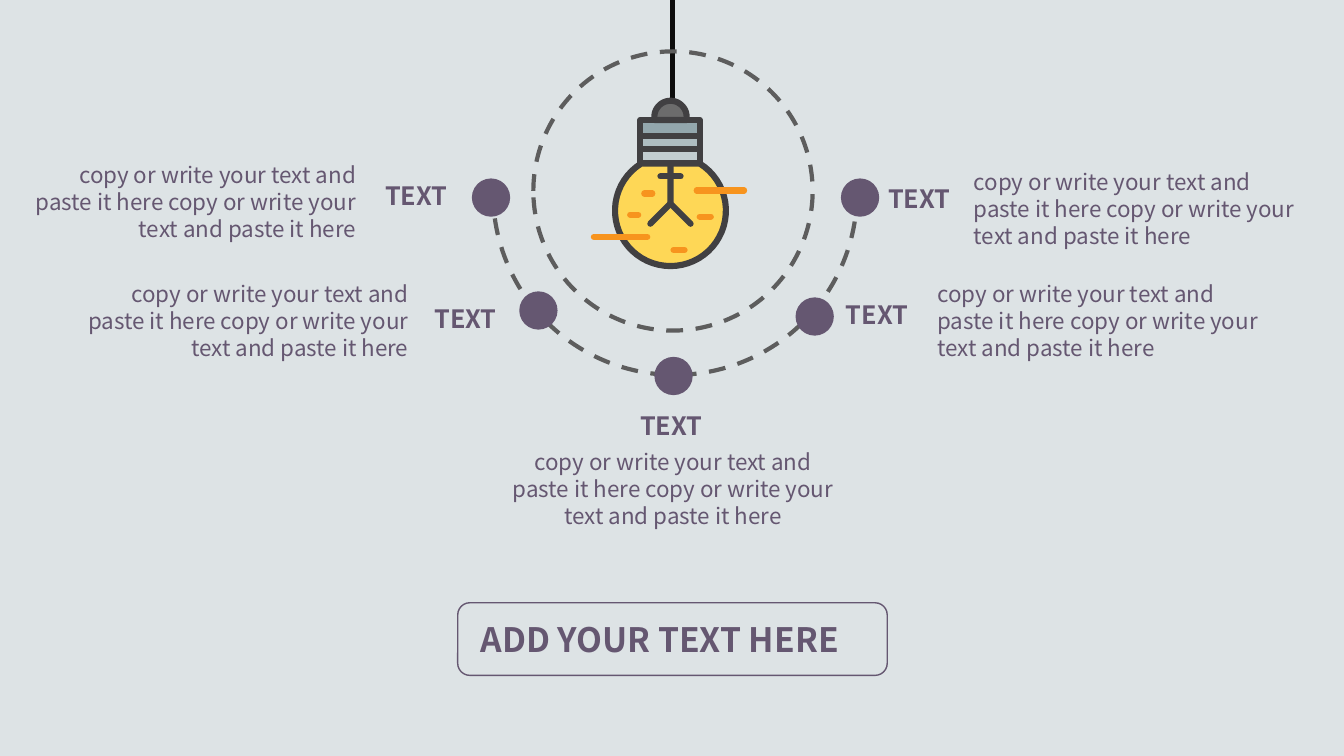
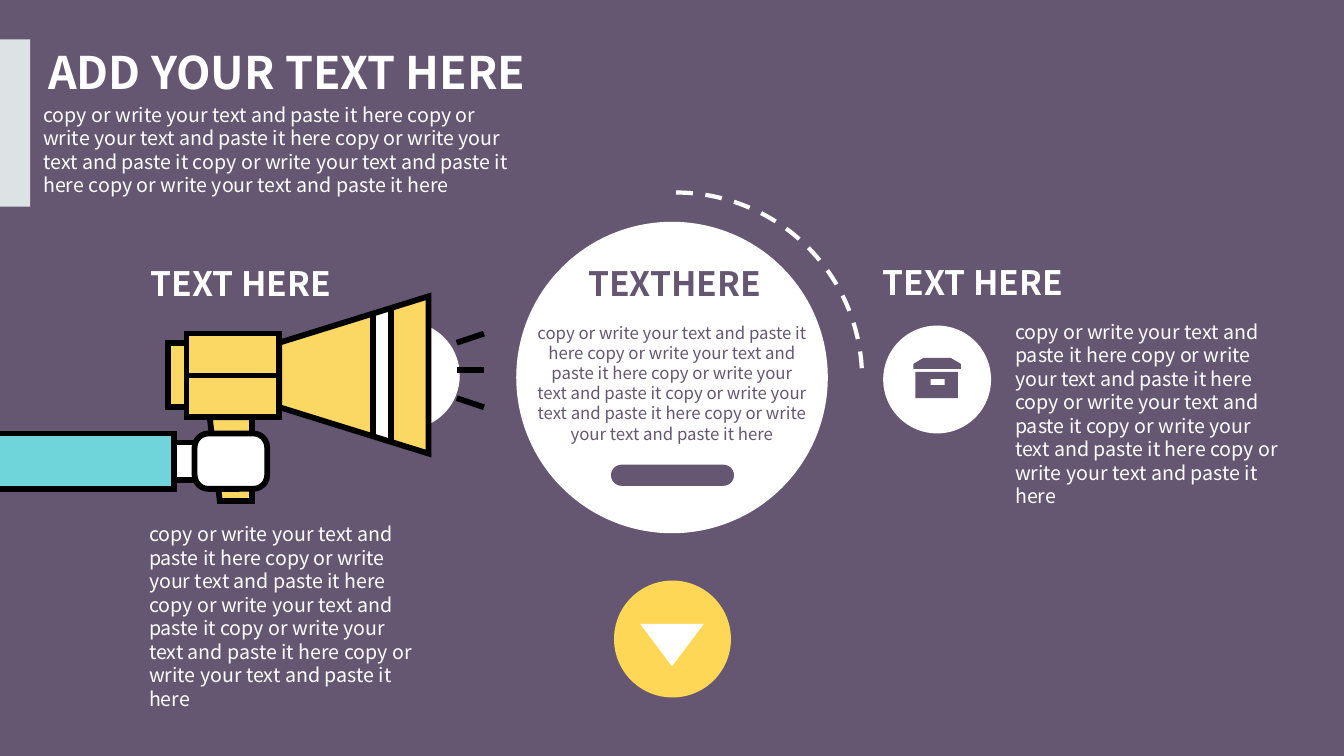
import math
from dataclasses import dataclass

import pptx
import pptx.dml.color
import pptx.enum.dml
import pptx.enum.shapes
import pptx.enum.text
import pptx.oxml
import pptx.oxml.ns
import pptx.util
from pptx.util import Inches

SHAPE = pptx.enum.shapes.MSO_SHAPE
ALIGN = pptx.enum.text.PP_ALIGN

FONT = "Noto Sans CJK SC"
PURPLE, MIST, WHITE, BLACK = "655771", "DDE3E5", "FFFFFF", "000000"
YELLOW, HORN_YELLOW, ORANGE, TEAL = "FED756", "FBD764", "F7941E", "70D5DA"
GRAPHITE, GREY = "414042", "5D5D5D"

PHRASE = "copy or write your text and paste it here"
SHORT_TEXT = f"{PHRASE} {PHRASE}"
LONG_TEXT = f"{SHORT_TEXT} copy or write your text and paste it {SHORT_TEXT}"


@dataclass
class Stroke:
    color: str
    width: float
    dashed: bool = False
    cap: str = "flat"
    join: str = "miter"


DASHES = Stroke(GREY, 3, dashed=True)
BULB_LINE = Stroke(GRAPHITE, 4.38, cap="rnd", join="round")
GLOW_LINE = Stroke(ORANGE, 4.38, cap="rnd", join="round")
HORN_LINE = Stroke(BLACK, 4.13)


def rgb(color):
    return pptx.dml.color.RGBColor.from_string(color)


def circle_points(center_x, center_y, radius, start, end, steps=48):
    """Points on a circle, with angles in degrees clockwise from the right."""
    angles = [math.radians(start + (end - start) * i / steps) for i in range(steps + 1)]
    return [(center_x + radius * math.cos(a), center_y + radius * math.sin(a)) for a in angles]


class Deck:
    def __init__(self):
        self.presentation = pptx.Presentation()
        self.presentation.slide_width = Inches(13.33)
        self.presentation.slide_height = Inches(7.5)
        self.slide = None
        self.shapes = None

    def new_slide(self, background):
        layout = self.presentation.slide_layouts[6]
        self.slide = self.presentation.slides.add_slide(layout)
        self.slide.background.fill.solid()
        self.slide.background.fill.fore_color.rgb = rgb(background)
        self.shapes = self.slide.shapes

    def start_group(self):
        self.shapes = self.slide.shapes.add_group_shape().shapes

    def end_group(self):
        self.shapes = self.slide.shapes

    def apply_stroke(self, line, stroke):
        line.color.rgb = rgb(stroke.color)
        line.width = pptx.util.Pt(stroke.width)
        if stroke.dashed:
            line.dash_style = pptx.enum.dml.MSO_LINE.DASH
        outline = line._get_or_add_ln()
        outline.set("cap", stroke.cap)
        join = pptx.oxml.parse_xml(
            f'<a:{stroke.join} {pptx.oxml.ns.nsdecls("a")}/>')
        if stroke.join == "miter":
            join.set("lim", "800000")
        outline.append(join)

    def paint(self, shape, fill, stroke):
        shape.shadow.inherit = False
        if fill:
            shape.fill.solid()
            shape.fill.fore_color.rgb = rgb(fill)
        else:
            shape.fill.background()
        if stroke:
            self.apply_stroke(shape.line, stroke)
        else:
            shape.line.fill.background()
        return shape

    def preset(self, kind, left, top, width, height, fill=None, stroke=None, adjust=()):
        shape = self.shapes.add_shape(
            kind, Inches(left), Inches(top), Inches(width), Inches(height))
        for index, value in enumerate(adjust):
            shape.adjustments[index] = value
        return self.paint(shape, fill, stroke)

    def circle(self, left, top, size, fill=None, stroke=None):
        return self.preset(SHAPE.OVAL, left, top, size, size, fill, stroke)

    def outline(self, *contours, fill=None, stroke=None, close=True):
        builder = None
        for contour in contours:
            points = [(Inches(x), Inches(y)) for x, y in contour]
            if builder is None:
                builder = self.shapes.build_freeform(*points[0])
            else:
                builder.move_to(*points[0])
            builder.add_line_segments(points[1:], close=close)
        return self.paint(builder.convert_to_shape(), fill, stroke)

    def line(self, x1, y1, x2, y2, stroke):
        connector = self.shapes.add_connector(
            pptx.enum.shapes.MSO_CONNECTOR.STRAIGHT,
            Inches(x1), Inches(y1), Inches(x2), Inches(y2))
        self.apply_stroke(connector.line, stroke)
        connector._element.spPr.append(
            pptx.oxml.parse_xml(f'<a:effectLst {pptx.oxml.ns.nsdecls("a")}/>'))
        return connector

    def text(self, text, left, top, width, height, size, color,
             align=ALIGN.LEFT, bold=False, wrap=True):
        box = self.shapes.add_textbox(
            Inches(left), Inches(top), Inches(width), Inches(height))
        frame = box.text_frame
        frame.text = text
        frame.word_wrap = wrap
        frame.auto_size = pptx.enum.text.MSO_AUTO_SIZE.SHAPE_TO_FIT_TEXT
        paragraph = frame.paragraphs[0]
        paragraph.alignment = align
        font = paragraph.runs[0].font
        font.name = FONT
        font.size = pptx.util.Pt(size)
        font.bold = bold
        font.color.rgb = rgb(color)

    def heading(self, text, left, top, width, height, size, color, align=ALIGN.LEFT):
        self.text(text, left, top, width, height, size, color, align, bold=True, wrap=False)


def draw_bulb(deck):
    deck.start_group()
    # Screw cap and glass
    deck.preset(SHAPE.RECTANGLE, 6.35, 1.35, 0.59, 0.13, "AEBDC1", BULB_LINE)
    deck.preset(SHAPE.RECTANGLE, 6.35, 1.48, 0.59, 0.14, "C2CDD0", BULB_LINE)
    deck.outline(circle_points(6.65, 2.09, 0.55, -58, 238), fill=YELLOW, stroke=BULB_LINE)
    deck.preset(SHAPE.RECTANGLE, 6.35, 1.19, 0.59, 0.16, "93A7AD", BULB_LINE)
    dome = circle_points(6.65, 1.16, 0.16, 180, 360)
    deck.outline([(6.49, 1.19), *dome, (6.81, 1.19)], fill="6C6C6C", stroke=BULB_LINE)
    # Filament
    deck.outline([(6.65, 1.62), (6.65, 2.02), (6.85, 2.22)], stroke=BULB_LINE, close=False)
    deck.line(6.65, 2.02, 6.45, 2.22, BULB_LINE)
    deck.line(6.75, 1.75, 6.55, 1.75, BULB_LINE)
    # Glow marks
    for x1, x2, y in [(5.89, 6.42, 2.35), (6.68, 6.79, 2.48), (6.91, 7.38, 1.89),
                      (6.39, 6.47, 1.92), (6.94, 7.05, 2.15), (6.25, 6.33, 2.13)]:
        deck.line(x1, y, x2, y, GLOW_LINE)
    deck.end_group()


def draw_megaphone(deck):
    deck.start_group()
    deck.circle(3.49, 3.19, 1.07, WHITE)
    # Horn: (x, upper y, lower y) at each seam
    seams = [(2.77, 3.4, 4.04), (3.7, 3.11, 4.33), (3.88, 3.05, 4.39), (4.25, 2.94, 4.5)]

    def section(start, end):
        (x1, upper1, lower1), (x2, upper2, lower2) = start, end
        return [(x1, lower1), (x2, lower2), (x2, upper2), (x1, upper1)]

    for start, end, color in zip(seams, seams[1:], (HORN_YELLOW, WHITE, HORN_YELLOW)):
        deck.outline(section(start, end), fill=color)
    deck.outline(section(seams[0], seams[-1]), stroke=HORN_LINE)
    for x, upper, lower in seams[1:3]:
        deck.line(x, upper, x, lower, HORN_LINE)
    # Grip, back plate and body
    deck.outline([(2.5, 4.14), (2.5, 4.97), (2.18, 4.97), (2.08, 4.14)],
                 fill=HORN_YELLOW, stroke=HORN_LINE)
    deck.preset(SHAPE.RECTANGLE, 1.67, 3.4, 0.18, 0.64, HORN_YELLOW, HORN_LINE)
    body = deck.preset(SHAPE.RECTANGLE, 1.85, 3.31, 0.92, 0.83, HORN_YELLOW, HORN_LINE)
    body_seam = deck.line(1.85, 3.72, 2.77, 3.72, HORN_LINE)
    body_seam.begin_connect(body, 1)
    body_seam.end_connect(body, 3)
    # Sound marks
    for start_y, end_y in [(3.67, 3.67), (3.4, 3.31), (3.95, 4.04)]:
        deck.line(4.53, start_y, 4.8, end_y, HORN_LINE)
    # Arm, wrist and hand
    deck.preset(SHAPE.RECTANGLE, 0, 4.3, 1.73, 0.55, TEAL)
    deck.preset(SHAPE.RECTANGLE, 1.73, 4.39, 0.55, 0.37, WHITE, HORN_LINE)
    deck.preset(SHAPE.ROUNDED_RECTANGLE, 1.93, 4.3, 0.72, 0.55, WHITE, HORN_LINE, [0.25])
    deck.outline([(0, 4.85), (1.73, 4.85), (1.73, 4.3), (0, 4.3)],
                 stroke=HORN_LINE, close=False)
    deck.end_group()


def build_bulb_slide(deck):
    deck.new_slide(MIST)
    deck.line(6.67, 0, 6.67, 1.05, Stroke("0D0D0D", 3))
    draw_bulb(deck)

    # Dashed rings
    deck.circle(5.29, 0.51, 2.77, stroke=DASHES)
    deck.preset(SHAPE.ARC, 4.89, 0.11, 3.61, 3.61, stroke=DASHES, adjust=[215.85, 108.01])

    # Dot, label and text positions around the ring
    points = [
        ((4.68, 1.77), (3.72, 1.74), (0.12, 1.55), ALIGN.RIGHT),
        ((5.15, 2.89), (4.21, 2.96), (0.64, 2.73), ALIGN.RIGHT),
        ((6.49, 3.54), (6.25, 4.02), (4.92, 4.4), ALIGN.CENTER),
        ((7.89, 2.95), (8.29, 2.92), (9.2, 2.73), ALIGN.LEFT),
        ((8.34, 1.77), (8.71, 1.77), (9.56, 1.62), ALIGN.LEFT),
    ]
    for dot, label, body, align in points:
        deck.circle(*dot, 0.38, PURPLE)
        deck.heading("TEXT", *label, 0.85, 0.4, 18, PURPLE)
        deck.text(SHORT_TEXT, *body, 3.51, 0.91, 16, PURPLE, align)

    # Framed title
    deck.heading("ADD YOUR TEXT HERE", 4.67, 6.09, 4.03, 0.5, 24, PURPLE)
    deck.preset(SHAPE.FLOWCHART_ALTERNATE_PROCESS, 4.54, 5.98, 4.26, 0.72,
                stroke=Stroke(PURPLE, 1))


def build_megaphone_slide(deck):
    deck.new_slide(PURPLE)

    # Title block
    deck.preset(SHAPE.RECTANGLE, 0, 0.39, 0.3, 1.66, MIST)
    deck.heading("ADD YOUR TEXT HERE", 0.38, 0.39, 5.3, 0.64, 32, WHITE)
    deck.text(LONG_TEXT, 0.33, 0.97, 4.91, 1.04, 14, WHITE)

    # Central disc
    deck.circle(5.12, 2.2, 3.09, WHITE)
    deck.heading("TEXTHERE", 5.71, 2.56, 1.96, 0.5, 24, PURPLE, ALIGN.CENTER)
    deck.text(LONG_TEXT, 5.23, 3.15, 2.87, 1.31, 12, PURPLE, ALIGN.CENTER)
    deck.preset(SHAPE.ROUNDED_RECTANGLE, 6.06, 4.61, 1.22, 0.21, PURPLE, adjust=[0.5])
    deck.preset(SHAPE.ARC, 4.86, 1.91, 3.69, 3.69,
                stroke=Stroke(WHITE, 3, dashed=True), adjust=[162, 0.18])

    # Down arrow button
    deck.circle(6.09, 5.76, 1.16, YELLOW)
    arrow = deck.preset(SHAPE.ISOSCELES_TRIANGLE, 6.35, 6.19, 0.63, 0.42, WHITE)
    arrow.rotation = 180

    # Archive box icon
    deck.start_group()
    deck.circle(8.76, 3.23, 1.07, WHITE)
    deck.outline([(9.08, 3.95), (9.5, 3.95), (9.5, 3.69), (9.08, 3.69)],
                 [(9.23, 3.76), (9.37, 3.76), (9.37, 3.82), (9.23, 3.82)], fill=PURPLE)
    deck.outline([(9.43, 3.55), (9.16, 3.55), (9.06, 3.61), (9.06, 3.66),
                  (9.53, 3.66), (9.53, 3.61)], fill=PURPLE)
    deck.end_group()

    # Side columns
    draw_megaphone(deck)
    for heading, body in [((1.36, 2.56), (1.38, 5.13)), ((8.62, 2.55), (9.97, 3.12))]:
        deck.heading("TEXT HERE", *heading, 2.06, 0.5, 24, WHITE, ALIGN.CENTER)
        deck.text(LONG_TEXT, *body, 2.87, 1.75, 14, WHITE)


def main():
    deck = Deck()
    build_bulb_slide(deck)
    build_megaphone_slide(deck)
    deck.presentation.save("out.pptx")


if __name__ == "__main__":
    main()
